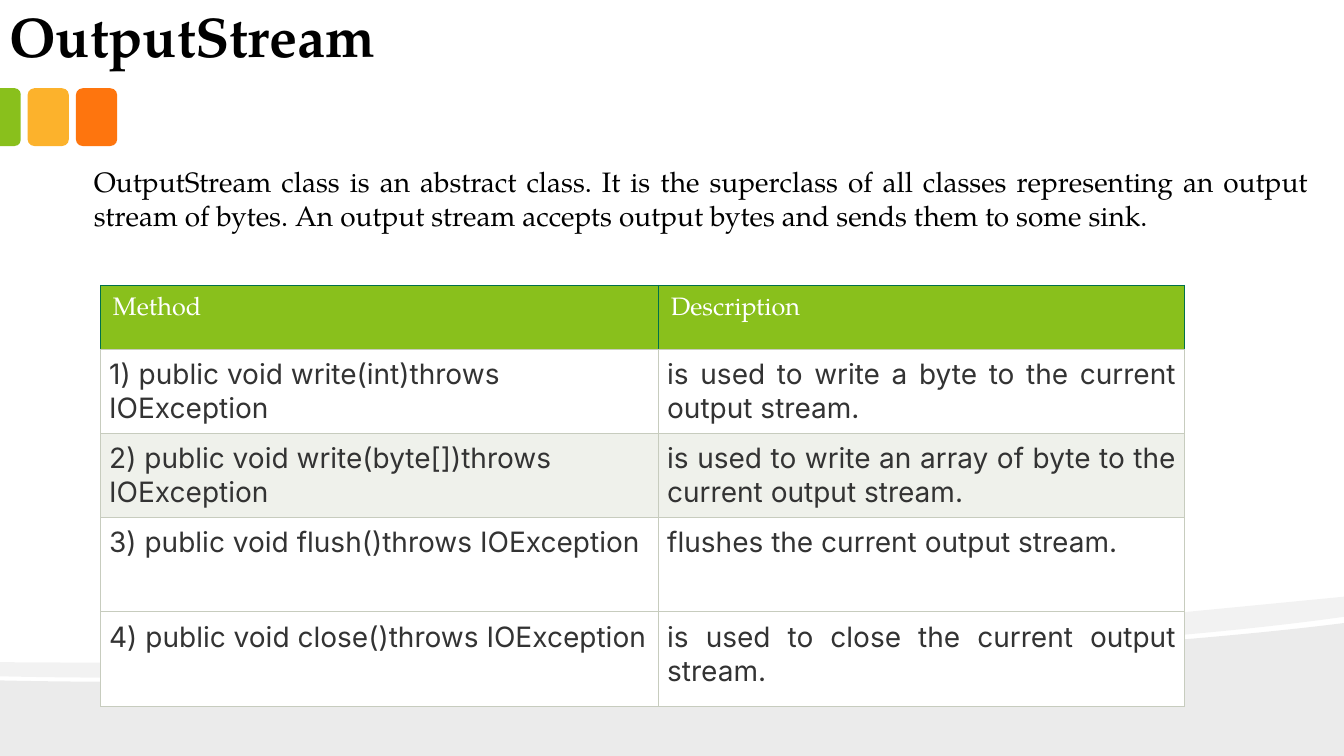
from dataclasses import dataclass

from lxml import etree
from pptx import Presentation
from pptx.dml.color import RGBColor
from pptx.enum.shapes import MSO_SHAPE
from pptx.enum.text import MSO_ANCHOR, MSO_AUTO_SIZE, PP_ALIGN
from pptx.oxml.ns import qn
from pptx.util import Pt

ROUND = MSO_SHAPE.ROUNDED_RECTANGLE
TAB = MSO_SHAPE.ROUND_2_SAME_RECTANGLE
RECT = MSO_SHAPE.RECTANGLE
BOTTOM = MSO_ANCHOR.BOTTOM
TOP = MSO_ANCHOR.TOP
GROW = MSO_AUTO_SIZE.SHAPE_TO_FIT_TEXT
LEFT = PP_ALIGN.LEFT
JUST = PP_ALIGN.JUSTIFY


@dataclass(frozen=True)
class Theme:
    serif: str = "TeX Gyre Pagella"
    sans: str = "Inter"
    title: int = 40
    body: int = 20
    head: int = 18
    black: str = "000000"
    white: str = "FFFFFF"
    text: str = "333333"
    green: str = "89C01C"
    amber: str = "FCB22C"
    orange: str = "FE750E"
    band: str = "EFF1EB"
    edge: str = "C7CCBE"
    frame: str = "00704B"


THEME = Theme()

WAVE = [
    (960, 445), (960, 540), (0, 540), (0, 486),
    (253.4, 491.8, 750.2, 471.6, 960, 445),
]
RIBBON = [
    (960, 426.2), (960, 440.6),
    (903.6, 448.6, 827.3, 455.8, 740.9, 461.5),
    (502.6, 477.4, 185.8, 487.4, 0, 483.1),
    (0, 473),
    (469.4, 476.6, 699.1, 451.4, 960, 426.2),
]

ROWS = [
    ("Method", "Description"),
    ("1) public void write(int)throws IOException",
     "is used to write a byte to the current output stream."),
    ("2) public void write(byte[])throws IOException",
     "is used to write an array of byte to the current output stream."),
    ("3) public void flush()throws IOException",
     "flushes the current output stream."),
    ("4) public void close()throws IOException",
     "is used to close the current output stream."),
]
WIDTHS = (398.6, 375.4)
HEIGHTS = (45.5, 60, 60, 67.5, 67.5)


def paint(item, color):
    item.fill.solid()
    item.fill.fore_color.rgb = RGBColor.from_string(color)


def style(para, font, size, color, bold=False, align=LEFT):
    para.alignment = align
    para.font.name = font
    para.font.size = Pt(size)
    para.font.bold = bold
    para.font.color.rgb = RGBColor.from_string(color)


def bend(wave, line, part):
    line.tag = qn("a:cubicBezTo")
    line.clear()
    for x, y in zip(part[::2], part[1::2]):
        etree.SubElement(line, qn("a:pt"), x=str(Pt(x) - wave.left), y=str(Pt(y) - wave.top))


def add_wave(slide, route, alpha):
    points = [(Pt(part[-2]), Pt(part[-1])) for part in route]
    pen = slide.shapes.build_freeform(*points[0])
    pen.add_line_segments(points[1:], close=True)
    wave = pen.convert_to_shape()
    lines = list(wave._element.iter(qn("a:lnTo")))
    for line, part in zip(lines, route[1:]):
        if len(part) == 6:
            bend(wave, line, part)
    wave.shadow.inherit = False
    wave.line.fill.background()
    paint(wave, THEME.black)
    color = wave.fill._xPr.find(".//" + qn("a:srgbClr"))
    etree.SubElement(color, qn("a:alpha")).set("val", str(alpha * 1000))


def add_block(slide, kind, box, color, turn=0):
    block = slide.shapes.add_shape(kind, *map(Pt, box))
    block.shadow.inherit = False
    block.line.fill.background()
    block.rotation = turn
    paint(block, color)
    return block


def add_title(slide, text):
    frame = slide.shapes.add_textbox(Pt(-2.9), Pt(-5.8), Pt(746.6), Pt(59.8)).text_frame
    frame.word_wrap = True
    frame.vertical_anchor = BOTTOM
    frame.margin_left = frame.margin_right = Pt(9.6)
    frame.margin_top = frame.margin_bottom = Pt(4.8)
    frame.text = text
    style(frame.paragraphs[0], THEME.serif, THEME.title, THEME.black, True)


def add_body(slide, text):
    block = add_block(slide, RECT, (60, 114.1, 882, 55.7), THEME.white)
    frame = block.text_frame
    frame.word_wrap = True
    frame.auto_size = GROW
    frame.vertical_anchor = TOP
    frame.text = text
    style(frame.paragraphs[0], THEME.serif, THEME.body, THEME.black, align=JUST)


def add_edges(cell, colors):
    props = cell._tc.get_or_add_tcPr()
    for spot, (side, color) in enumerate(zip("LRTB", colors)):
        line = etree.Element(qn("a:ln" + side), w=str(Pt(0.75)))
        fill = etree.SubElement(line, qn("a:solidFill"))
        etree.SubElement(fill, qn("a:srgbClr"), val=color)
        props.insert(spot, line)


def fill_cell(cell, text, row, col):
    head = row == 0
    pad = Pt(8.7 if head else 6)
    cell.margin_left = cell.margin_right = pad
    cell.margin_top = cell.margin_bottom = pad
    cell.vertical_anchor = TOP
    cell.text = text
    para = cell.text_frame.paragraphs[0]
    if head:
        style(para, THEME.serif, THEME.head, THEME.white)
        paint(cell, THEME.green)
        add_edges(cell, [THEME.frame] * 3 + [THEME.edge])
    else:
        align = JUST if col or row == 4 else LEFT
        style(para, THEME.sans, THEME.body, THEME.text, align=align)
        paint(cell, THEME.band if row == 2 else THEME.white)
        add_edges(cell, [THEME.edge] * 4)


def add_grid(slide):
    shape = slide.shapes.add_table(
        len(ROWS), len(WIDTHS), Pt(72), Pt(203.8), Pt(sum(WIDTHS)), Pt(sum(HEIGHTS)))
    table = shape.table
    table.first_row = table.horz_banding = False
    for col, width in enumerate(WIDTHS):
        table.columns[col].width = Pt(width)
    for row, texts in enumerate(ROWS):
        table.rows[row].height = Pt(HEIGHTS[row])
        for col, text in enumerate(texts):
            fill_cell(table.cell(row, col), text, row, col)


def main():
    deck = Presentation()
    deck.slide_width, deck.slide_height = Pt(960), Pt(540)
    slide = deck.slides.add_slide(deck.slide_layouts[6])
    add_wave(slide, WAVE, 8)
    add_wave(slide, RIBBON, 5)
    for left, color in ((54.2, THEME.orange), (19.7, THEME.amber)):
        add_block(slide, ROUND, (left, 63, 29.5, 41.3), color)
    tab = add_block(slide, TAB, (-13.4, 76.1, 41.3, 15.1), THEME.green, 90)
    tab.adjustments[0] = 0.29
    add_title(slide, "OutputStream")
    add_body(slide, "OutputStream class is an abstract class. It is the superclass of all "
             "classes representing an output stream of bytes. An output stream accepts "
             "output bytes and sends them to some sink.")
    add_grid(slide)
    deck.save("out.pptx")


if __name__ == "__main__":
    main()
